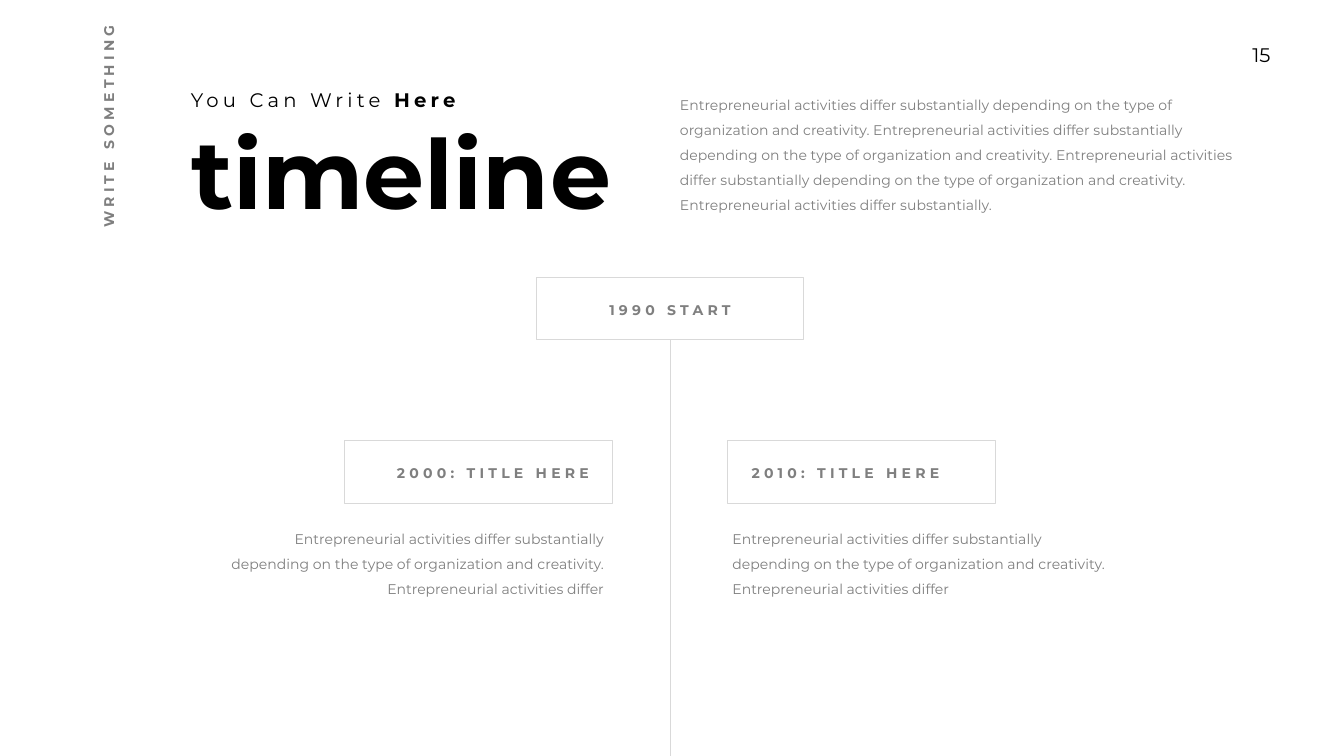
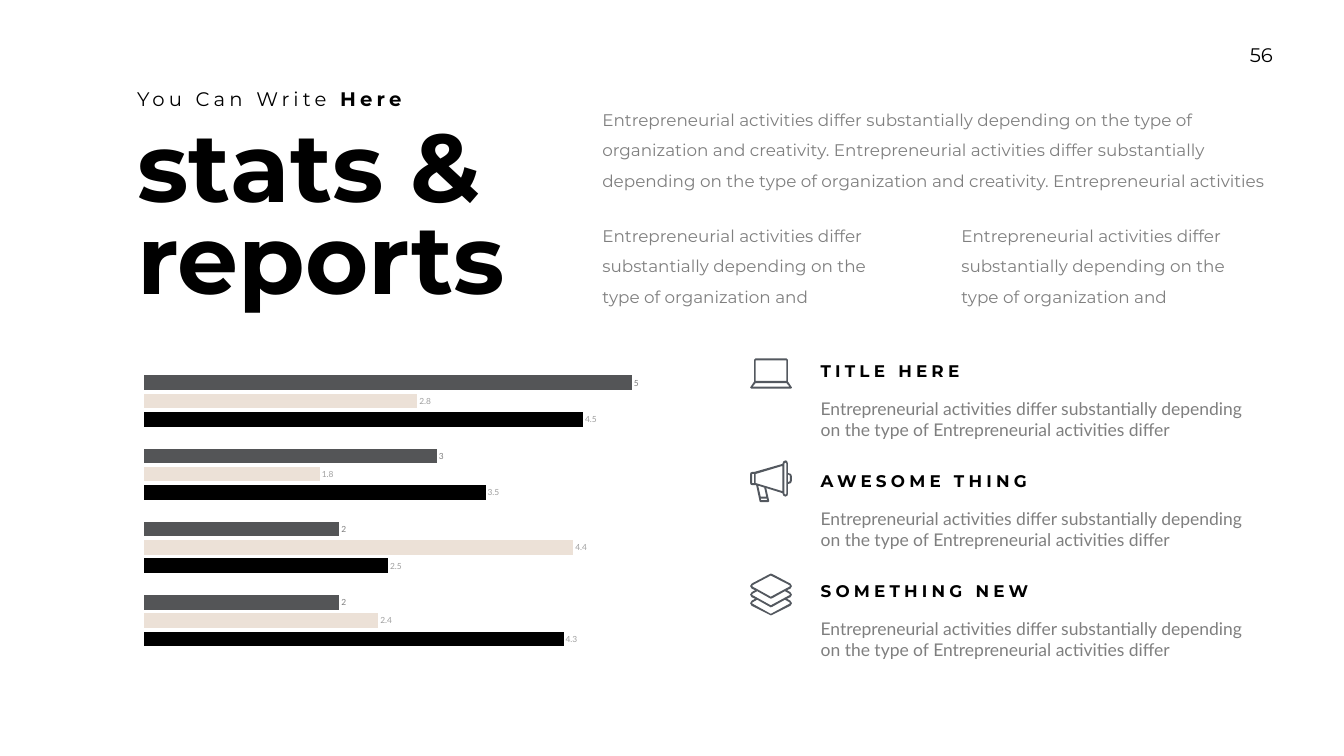
from pptx import Presentation
from pptx.chart.data import CategoryChartData
from pptx.dml.color import RGBColor
from pptx.enum import chart as ch, shapes as sh, text as tx
from pptx.oxml import parse_xml
from pptx.util import Inches, Pt

BLACK = RGBColor(0x00, 0x00, 0x00)
WHITE = RGBColor(0xFF, 0xFF, 0xFF)
GREY = RGBColor(0x7F, 0x7F, 0x7F)
PALE = RGBColor(0x9F, 0x9F, 0x9F)
RULE = RGBColor(0xD9, 0xD9, 0xD9)
SLATE = RGBColor(0x53, 0x58, 0x5F)
SAND = RGBColor(0xEC, 0xE1, 0xD7)
COAL = RGBColor(0x54, 0x55, 0x57)

LEFT, MID, RIGHT = tx.PP_ALIGN.LEFT, tx.PP_ALIGN.CENTER, tx.PP_ALIGN.RIGHT
NO_FX = ('<a:effectLst xmlns:a='
         '"http://schemas.openxmlformats.org/drawingml/2006/main"/>')

FACE = {"name": "Montserrat", "size": Pt(20), "color": BLACK, "bold": False}
TITLE = FACE | {"size": Pt(138), "bold": True}
KICK = FACE | {"size": Pt(28), "track": 6}
PAGE = FACE | {"size": Pt(28), "align": MID}
TAG = FACE | {"color": GREY, "bold": True, "track": 6}
NODE = TAG | {"lead": 1.5}
BODY = FACE | {"color": GREY, "lead": 1.5}
LARGE = BODY | {"size": Pt(24)}
HEAD = FACE | {"size": Pt(24), "bold": True, "track": 6}
NOTE = FACE | {"name": "Lato", "size": Pt(25), "color": GREY}

BASE = "Entrepreneurial activities differ"
LONG = (BASE + " substantially depending on the type of organization"
        " and creativity.")

LAPTOP = [
    [(0, 58), (8, 46), (8, 3), (11, 0), (72, 0), (75, 3), (75, 46), (83, 58),
     (81, 60), (2, 60)],
    [(5, 56), (11, 49), (72, 49), (78, 56)],
    [(11, 4), (72, 4), (72, 45), (11, 45)],
]
HORN = [
    [(75, 25), (75, 6), (73, 1), (70, 0), (66, 2), (64, 7), (8, 23), (4, 23),
     (1, 24), (0, 27), (0, 45), (1, 48), (4, 49), (12, 49), (19, 82), (21, 83),
     (36, 83), (38, 81), (32, 55), (64, 65), (66, 70), (70, 72), (74, 70),
     (75, 66), (75, 47), (81, 45), (83, 40), (83, 32), (81, 27)],
    [(79, 40), (78, 42), (75, 43), (75, 28), (78, 29), (79, 32)],
    [(72, 66), (70, 68), (68, 66), (68, 6), (70, 4), (72, 6)],
    [(64, 61), (11, 45), (11, 27), (64, 11)],
    [(32, 72), (21, 72), (16, 50), (28, 54)],
    [(33, 79), (22, 79), (21, 76), (33, 76)],
    [(8, 45), (4, 45), (4, 27), (8, 27)],
]
SHEET = [(78, 43), (41, 63), (5, 43), (4, 42), (5, 40), (14, 35), (39, 49),
         (41, 50), (44, 49), (69, 35), (78, 40), (79, 42)]
LAYERS = [
    [(83, 42), (80, 37), (73, 33), (80, 30), (83, 25), (80, 20), (44, 1),
     (41, 0), (39, 1), (3, 20), (0, 25), (3, 30), (10, 33), (3, 37), (0, 42),
     (3, 47), (10, 50), (3, 54), (0, 59), (3, 64), (39, 82), (41, 83),
     (44, 82), (80, 64), (83, 59), (80, 54), (73, 50), (80, 47)],
    [(5, 26), (4, 25), (5, 23), (41, 4), (78, 23), (79, 25), (78, 26),
     (41, 46)],
    SHEET,
    [(x, y + 17) for x, y in SHEET],
]


def inch(box):
    return [Inches(v) for v in box]


def write(frame, lines, style):
    """Fill a frame; each line is a string or a list of (words, bold)."""
    for i, line in enumerate(lines):
        para = frame.paragraphs[0] if i == 0 else frame.add_paragraph()
        para.alignment = style.get("align", LEFT)
        if "lead" in style:
            para.line_spacing = style["lead"]
        runs = [(line, style["bold"])] if isinstance(line, str) else line
        for words, bold in runs:
            run = para.add_run()
            run.text = words
            for key in ("name", "size"):
                setattr(run.font, key, style[key])
            run.font.bold = bold
            run.font.color.rgb = style["color"]
            if "track" in style:
                run._r.get_or_add_rPr().set("spc", str(style["track"] * 100))


def label(home, box, words, style, wrap=True):
    shape = home.shapes.add_textbox(*inch(box))
    shape.text_frame.word_wrap = wrap
    write(shape.text_frame, [words], style)
    return shape


def header(slide, box, drop, lines, num, lead=None):
    """Kicker at the box's corner, title below it by drop, page number."""
    x, y, w, h = box
    title = slide.shapes.title
    spot = inch((x, y + drop, w, h))
    for key, val in zip(("left", "top", "width", "height"), spot):
        setattr(title, key, val)
    frame = title.text_frame
    frame.word_wrap = True
    frame.auto_size = tx.MSO_AUTO_SIZE.NONE
    frame.vertical_anchor = tx.MSO_ANCHOR.TOP
    write(frame, lines, TITLE | ({"lead": lead} if lead else {}))
    label(slide, (x, y, 6.77, 0.57),
          [("You Can Write ", False), ("Here", True)], KICK)
    label(slide, (24.46, 0.81, 1.12, 0.57), num, PAGE, False)


def node(slide, x, y, words, align):
    """Outlined box with a white label set inside it."""
    group = slide.shapes.add_group_shape()
    rect = group.shapes.add_shape(sh.MSO_SHAPE.RECTANGLE,
                                  *inch((x, y, 5.31, 1.24)))
    rect.shadow.inherit = False
    rect.fill.solid()
    rect.fill.fore_color.rgb = WHITE
    rect.line.color.rgb = RULE
    rect.line.width = Pt(1)
    tag = label(group, (x + 0.38, y + 0.26, 4.56, 0.61), words,
                NODE | {"align": align})
    tag.fill.solid()
    tag.fill.fore_color.rgb = WHITE


def stem(slide, x, top, foot):
    line = slide.shapes.add_connector(sh.MSO_CONNECTOR.STRAIGHT,
                                      *inch((x, top, x, foot)))
    line.line.color.rgb = RULE
    line.line.width = Pt(0.5)
    line._element.spPr.append(parse_xml(NO_FX))


def icon(slide, x, y, rings):
    """Filled outline; rings after the first are holes, in 0.01 inch."""
    pen = slide.shapes.build_freeform(*rings[0][0], scale=Inches(0.01))
    for i, ring in enumerate(rings):
        if i:
            pen.move_to(*ring[0])
        pen.add_line_segments(ring[1:], close=True)
    shape = pen.convert_to_shape(*inch((x, y)))
    shape.shadow.inherit = False
    shape.fill.solid()
    shape.fill.fore_color.rgb = SLATE
    shape.line.fill.background()


def feature(slide, x, y, head, rings, dip):
    icon(slide, x, y + dip, rings)
    label(slide, (x + 1.3, y, 4.34, 0.5), head, HEAD, False)
    label(slide, (x + 1.3, y + 0.73, 8.58, 0.94),
          BASE + " substantially depending on the type of " + BASE, NOTE)


def bars(slide, box):
    data = CategoryChartData()
    data.categories = ["1", "2", "3", "4"]
    data.add_series("Series 1", (4.3, 2.5, 3.5, 4.5))
    data.add_series("Series 2", (2.4, 4.4, 1.8, 2.8))
    data.add_series("Series 3", (2, 2, 3, 5))
    chart = slide.shapes.add_chart(ch.XL_CHART_TYPE.BAR_CLUSTERED,
                                   *inch(box), data).chart
    chart.has_legend = chart.has_title = False
    chart.font.name, chart.font.size = "Lato", Pt(10)
    chart.font.color.rgb = GREY
    for axis in (chart.category_axis, chart.value_axis):
        axis.has_major_gridlines = axis.visible = False
    axis.minimum_scale, axis.maximum_scale = 0, 6
    plot = chart.plots[0]
    plot.gap_width, plot.overlap, plot.vary_by_categories = 150, -25, False
    tones = ((BLACK, PALE), (SAND, PALE), (COAL, GREY))
    for series, (fill, ink) in zip(plot.series, tones):
        series.format.fill.solid()
        series.format.fill.fore_color.rgb = fill
        marks = series.data_labels
        marks.show_value = True
        marks.position = ch.XL_LABEL_POSITION.OUTSIDE_END
        marks.font.name, marks.font.size = "Lato", Pt(12)
        marks.font.color.rgb = ink


def timeline(slide):
    header(slide, (3.69, 1.69, 9.6, 2.42), 0.5, ["timeline"], "15")
    label(slide, (-1.23, 1.01, 6.77, 0.44), "WRITE SOMETHING",
          TAG).rotation = 270
    label(slide, (13.39, 1.69, 11.44, 2.63),
          " ".join([LONG] * 3 + [BASE + " substantially."]), BODY)
    stem(slide, 13.29, 5.76, 15)
    node(slide, 10.63, 5.5, "1990 START", MID)
    sides = ((6.84, 4.36, "2000: TITLE HERE", RIGHT),
             (14.43, 14.43, "2010: TITLE HERE", LEFT))
    for x, left, words, align in sides:
        node(slide, x, 8.74, words, align)
        label(slide, (left, 10.3, 7.72, 1.62), LONG + " " + BASE,
              BODY | {"align": align})


def stats(slide):
    header(slide, (2.62, 1.67, 9.23, 3.78), 0.87, ["stats &", "reports"],
           "56", Pt(130.6))
    label(slide, (11.85, 1.93, 13.47, 1.92),
          f"{LONG} {LONG} Entrepreneurial activities", LARGE)
    for x in (11.85, 18.97):
        label(slide, (x, 4.23, 5.79, 1.92), BASE + " substantially depending"
              " on the type of organization and", LARGE)
    bars(slide, (2.62, 7.11, 12.09, 6.05))
    items = (("TITLE HERE", LAPTOP, 0), ("AWESOME THING", HORN, -0.16),
             ("SOMETHING NEW", LAYERS, -0.1))
    for i, (head, rings, dip) in enumerate(items):
        feature(slide, 14.88, 7.11 + i * 2.185, head, rings, dip)


def main():
    deck = Presentation()
    deck.slide_width, deck.slide_height = inch((26.66, 15))
    for draw in (timeline, stats):
        draw(deck.slides.add_slide(deck.slide_layouts[5]))
    deck.save("out.pptx")


if __name__ == "__main__":
    main()
